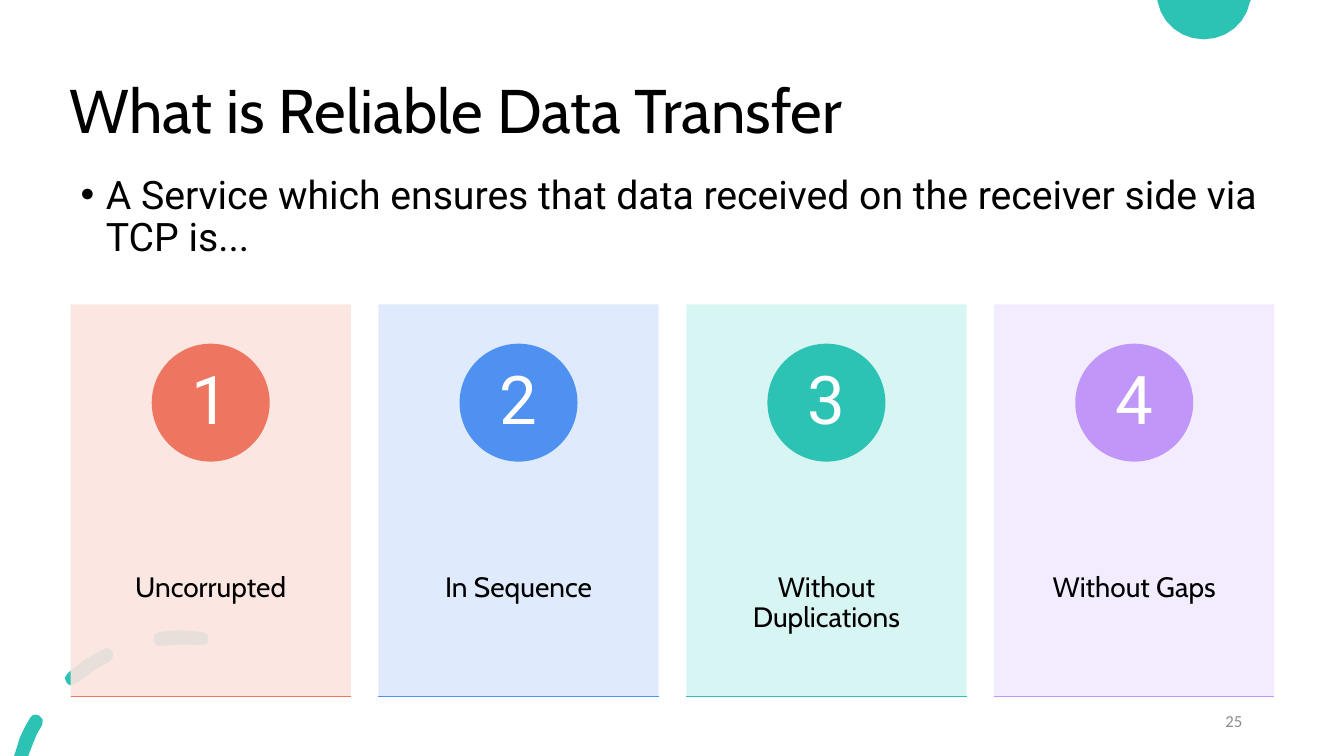
from dataclasses import dataclass

from lxml.etree import SubElement
from pptx import Presentation
from pptx.dml.color import RGBColor as RGB
from pptx.enum.shapes import MSO_CONNECTOR as Link, MSO_SHAPE as Shape
from pptx.enum.text import MSO_ANCHOR as Anchor, MSO_AUTO_SIZE as Fit, PP_ALIGN as Align
from pptx.oxml.ns import qn
from pptx.util import Inches, Pt


@dataclass(frozen=True)
class Theme:
    ink: str = "000000"
    paper: str = "FFFFFF"
    teal: str = "2CC3B4"
    gray: str = "8C8C8C"
    head: str = "Cabin"
    body: str = "Roboto"
    foot: str = "Calibri"
    title: int = 44
    lead: int = 28
    digit: int = 48
    label: int = 20
    small: int = 12


T = Theme()

# Label, card tint, accent
CARDS = [
    ("Uncorrupted", "FCE4DF", "EE7661"),
    ("In Sequence", "DCE9FC", "4E91F0"),
    ("Without Duplications", "D3F5F2", T.teal),
    ("Without Gaps", "F2EAFE", "C097F8"),
]

# Each outline: a start, then line ends (2 numbers) or Bezier curves (6 numbers)
DOT = [(11.48, 0), (12.41, 0), (12.4, 0.01),
       (12.36, 0.23, 12.17, 0.39, 11.94, 0.39),
       (11.71, 0.39, 11.52, 0.23, 11.48, 0.01)]
DASHES = [
    [(0.36, 7.09), (0.34, 7.08, 0.31, 7.1, 0.3, 7.12),
     (0.26, 7.18, 0.23, 7.25, 0.2, 7.31), (0.14, 7.5), (0.28, 7.5),
     (0.33, 7.37), (0.35, 7.31, 0.38, 7.25, 0.42, 7.19),
     (0.44, 7.16, 0.42, 7.11, 0.39, 7.1), (0.36, 7.09)],
    [(1.05, 6.43), (1.03, 6.44),
     (0.9, 6.5, 0.77, 6.58, 0.67, 6.68), (0.64, 6.7, 0.63, 6.75, 0.66, 6.77),
     (0.67, 6.79, 0.69, 6.8, 0.71, 6.8), (0.76, 6.78),
     (0.86, 6.7, 0.97, 6.62, 1.09, 6.56), (1.12, 6.54, 1.14, 6.5, 1.12, 6.47),
     (1.11, 6.44, 1.08, 6.43, 1.05, 6.43)],
    [(1.79, 6.25), (1.58, 6.27),
     (1.54, 6.27, 1.51, 6.31, 1.52, 6.35), (1.52, 6.38, 1.55, 6.41, 1.58, 6.41),
     (1.73, 6.39, 1.86, 6.39, 1.99, 6.4), (2.03, 6.41, 2.07, 6.38, 2.07, 6.35),
     (2.08, 6.31, 2.05, 6.27, 2.01, 6.27), (1.79, 6.25)],
]


def place(item, box):
    item.left, item.top, item.width, item.height = map(Inches, box)


def write(item, words, font=T.body, size=T.label, color=T.ink, align=Align.LEFT,
          anchor=Anchor.TOP, pad=(0.1, 0.05), lead=0.9, bullet=None):
    frame = item.text_frame
    frame.word_wrap, frame.auto_size = True, Fit.NONE
    frame.vertical_anchor = anchor
    frame.margin_left = frame.margin_right = Inches(pad[0])
    frame.margin_top = frame.margin_bottom = Inches(pad[1])
    para = frame.paragraphs[0]
    para.text = words
    para.alignment, para.line_spacing = align, lead
    para.space_before = Pt(0)
    if bullet:
        props = para._p.get_or_add_pPr()
        props.set("marL", str(Inches(0.25)))
        props.set("indent", str(Inches(-0.25)))
        SubElement(props, qn("a:buChar")).set("char", bullet)
    para.font.name, para.font.size = font, Pt(size)
    para.font.color.rgb = RGB.from_string(color)


def paint(item, color, alpha=None):
    item.shadow.inherit = False
    item.fill.solid()
    item.fill.fore_color.rgb = RGB.from_string(color)
    item.line.fill.background()
    if alpha:
        tone = item.fill._xPr.find(qn("a:solidFill"))[0]
        SubElement(tone, qn("a:alpha")).set("val", str(alpha * 1000))


def trace(outline, steps):
    """Turn an outline into points in EMU, sampling its curves."""
    points = [outline[0]]
    for part in outline[1:]:
        if len(part) == 2:
            points.append(part)
            continue
        ends = [points[-1], part[:2], part[2:4], part[4:]]
        for i in range(1, steps + 1):
            t = i / steps
            mix = ((1 - t) ** 3, 3 * t * (1 - t) ** 2, 3 * t * t * (1 - t), t ** 3)
            points.append(tuple(sum(m * e[k] for m, e in zip(mix, ends)) for k in (0, 1)))
    return [(Inches(x), Inches(y)) for x, y in points]


def decor(slide, outlines, steps):
    first, *rest = [trace(outline, steps) for outline in outlines]
    pen = slide.shapes.build_freeform(*first[0])
    pen.add_line_segments(first[1:])
    for points in rest:
        pen.move_to(*points[0])
        pen.add_line_segments(points[1:])
    paint(pen.convert_to_shape(), T.teal)


def header(slide, box):
    x, y, w, h = box
    title, body = slide.placeholders
    place(title, (x, y, 11.5, 1.45))
    write(title, "What is Reliable Data Transfer", font=T.head, size=T.title,
          anchor=Anchor.MIDDLE)
    place(body, (x + 0.11, y + 1.29, w - 0.11, h - 1.29))
    write(body, "A Service which ensures that data received on the receiver side via TCP is...",
          size=T.lead, bullet="•")


def card(slide, box, digit, label, tint, accent):
    x, y, w, h = box
    shapes = slide.shapes
    panel = shapes.add_shape(Shape.RECTANGLE, *map(Inches, box))
    paint(panel, tint, alpha=90)

    # Label
    note = shapes.add_textbox(*map(Inches, (x, y + 2.31, w, 1.5)))
    write(note, label, font=T.head, align=Align.CENTER, pad=(0.22, 0.36))

    # Numbered disc
    side = 1.17
    disc = shapes.add_shape(Shape.OVAL, *map(Inches, (x + (w - side) / 2, y + 0.39, side, side)))
    paint(disc, accent)
    write(disc, digit, size=T.digit, color=T.paper, align=Align.CENTER,
          anchor=Anchor.MIDDLE, pad=(0, 0))

    # Base line
    base = shapes.add_connector(Link.STRAIGHT, *map(Inches, (x, y + h, x + w, y + h)))
    base.line.color.rgb = RGB.from_string(accent)
    base.line.width = Pt(1)
    SubElement(base._element.spPr, qn("a:effectLst"))


def row(slide, box, wide=2.78):
    x, y, w, h = box
    pitch = (w - wide) / (len(CARDS) - 1)
    for i, data in enumerate(CARDS):
        card(slide, (x + i * pitch, y, wide, h), str(i + 1), *data)


def footer(slide, box):
    page = slide.shapes.add_textbox(*map(Inches, box))
    write(page, "25", font=T.foot, size=T.small, color=T.gray, align=Align.RIGHT,
          anchor=Anchor.MIDDLE, lead=1.0)


def main():
    deck = Presentation()
    deck.slide_width, deck.slide_height = Inches(13.33), Inches(7.5)
    slide = deck.slides.add_slide(deck.slide_layouts[1])
    decor(slide, [DOT], steps=6)
    decor(slide, DASHES, steps=2)
    header(slide, (0.59, 0.4, 12.06, 2.36))
    row(slide, (0.7, 3.02, 11.94, 3.89))
    footer(slide, (9.42, 6.95, 3, 0.4))
    deck.save("out.pptx")


if __name__ == "__main__":
    main()
